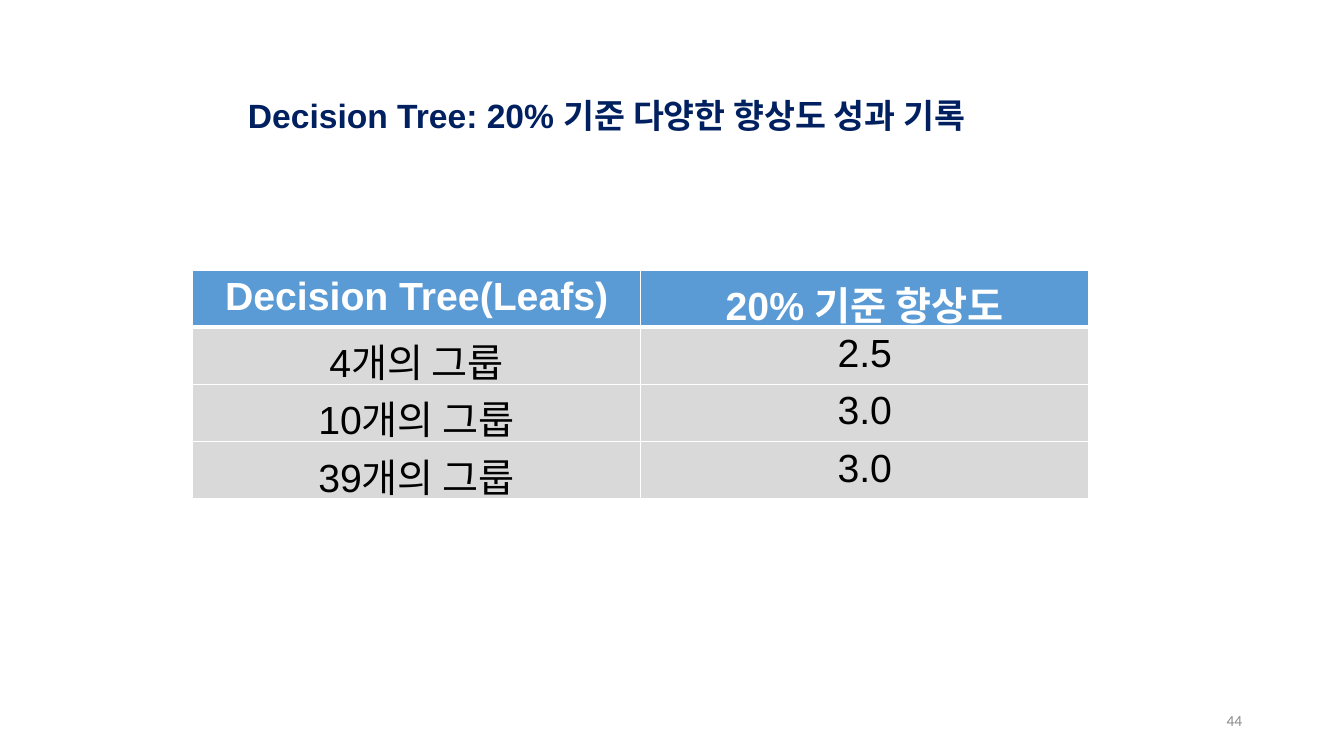
from dataclasses import dataclass

from lxml import etree
from pptx import Presentation
from pptx.dml.color import RGBColor
from pptx.enum import text
from pptx.oxml import ns
from pptx.util import Inches, Pt


@dataclass(frozen=True)
class Theme:
    navy: str = "002060"
    header: str = "5B9BD5"
    body: str = "D9D9D9"
    white: str = "FFFFFF"
    black: str = "000000"
    grey: str = "8C8C8C"
    font: str = "Arial"
    number_font: str = "Calibri"
    title_size: int = 24
    table_size: int = 28
    number_size: int = 11
    rule: int = 1
    header_rule: int = 3


THEME = Theme()
LIFT_ROWS = [
    ("Decision Tree(Leafs)", "20% 기준 향상도"),
    ("4개의 그룹", "2.5"),
    ("10개의 그룹", "3.0"),
    ("39개의 그룹", "3.0"),
]


def write(frame, words, font, size, color, align, bold=False):
    frame.text = words
    paragraph = frame.paragraphs[0]
    paragraph.alignment = align
    for run in paragraph.runs:
        run.font.name = font
        run.font.size = Pt(size)
        run.font.bold = bold
        run.font.color.rgb = RGBColor.from_string(color)


def add_title(slide, left, top, width, height):
    title = slide.shapes.add_textbox(left, top, width, height).text_frame
    title.word_wrap = False
    title.auto_size = text.MSO_AUTO_SIZE.SHAPE_TO_FIT_TEXT
    write(title, "Decision Tree: 20% 기준 다양한 향상도 성과 기록", THEME.font,
          THEME.title_size, THEME.navy, text.PP_ALIGN.LEFT, bold=True)


def add_page_number(slide, left, top, width, height):
    number = slide.shapes.add_textbox(left, top, width, height).text_frame
    number.word_wrap = True
    number.vertical_anchor = text.MSO_ANCHOR.MIDDLE
    write(number, "44", THEME.number_font, THEME.number_size, THEME.grey,
          text.PP_ALIGN.RIGHT)


def set_borders(cell, widths):
    properties = cell._tc.get_or_add_tcPr()
    for position, (side, width) in enumerate(widths.items()):
        line = etree.Element(ns.qn(f"a:{side}"), w=str(Pt(width)))
        fill = etree.SubElement(line, ns.qn("a:solidFill"))
        etree.SubElement(fill, ns.qn("a:srgbClr"), val=THEME.white)
        properties.insert(position, line)


def add_lift_table(slide, left, top, width, height):
    table = slide.shapes.add_table(
        len(LIFT_ROWS), len(LIFT_ROWS[0]), left, top, width, height).table
    for row, values in enumerate(LIFT_ROWS):
        is_header = row == 0
        for column, value in enumerate(values):
            cell = table.cell(row, column)
            cell.fill.solid()
            cell.fill.fore_color.rgb = RGBColor.from_string(
                THEME.header if is_header else THEME.body)
            write(cell.text_frame, value, THEME.font, THEME.table_size,
                  THEME.white if is_header else THEME.black,
                  text.PP_ALIGN.CENTER, bold=is_header)
            set_borders(cell, {
                "lnL": THEME.rule,
                "lnR": THEME.rule,
                "lnT": THEME.header_rule if row == 1 else THEME.rule,
                "lnB": THEME.header_rule if is_header else THEME.rule,
            })


def main():
    deck = Presentation()
    deck.slide_width, deck.slide_height = Inches(13.33), Inches(7.5)
    slide = deck.slides.add_slide(deck.slide_layouts[6])
    add_page_number(slide, Inches(9.42), Inches(6.95), Inches(3), Inches(0.4))
    add_title(slide, Inches(2.36), Inches(0.89), Inches(7.99), Inches(0.5))
    add_lift_table(slide, Inches(1.91), Inches(2.68), Inches(8.89), Inches(2.27))
    deck.save("out.pptx")


if __name__ == "__main__":
    main()
